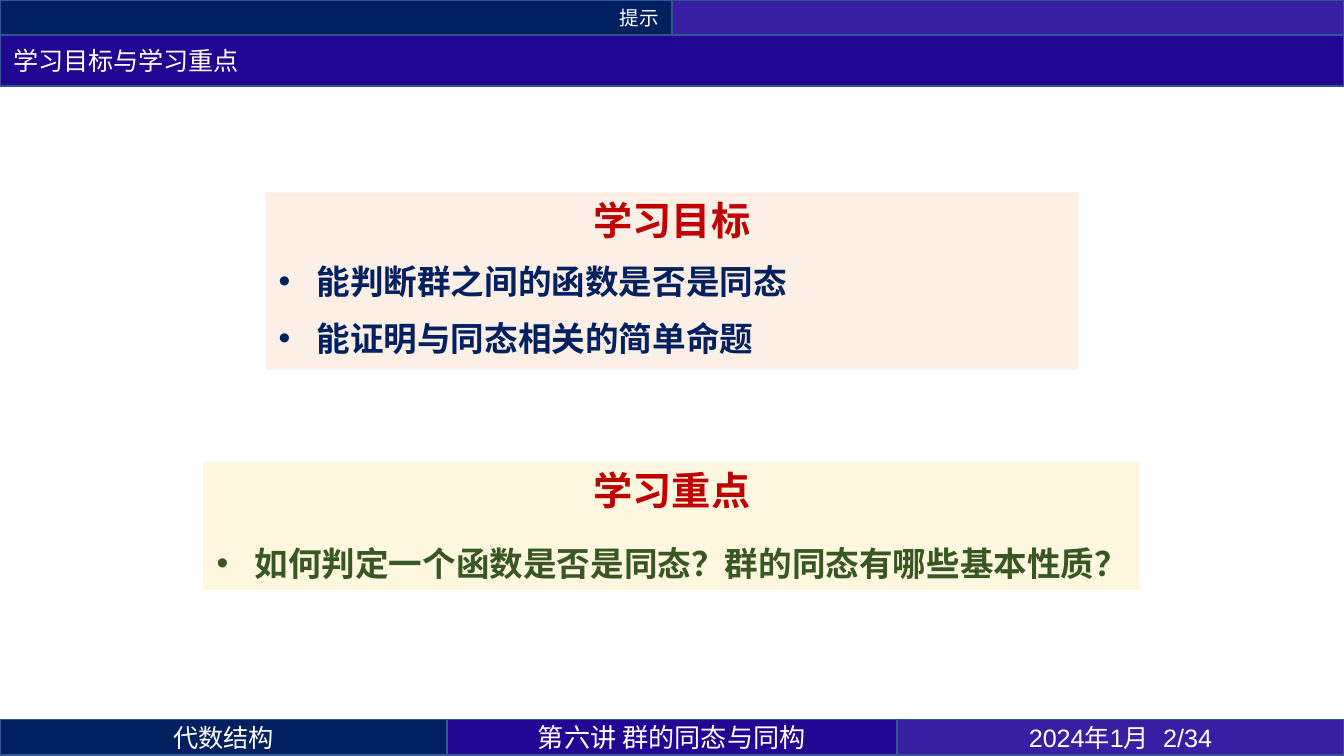
from dataclasses import dataclass

from lxml.etree import SubElement
from pptx import Presentation
from pptx.dml.color import RGBColor
from pptx.enum.shapes import MSO_SHAPE
from pptx.enum.text import MSO_ANCHOR, MSO_AUTO_SIZE, PP_ALIGN
from pptx.oxml.ns import qn
from pptx.slide import Slide
from pptx.util import Pt

COLORS = {
    "navy": "002060", "indigo": "210694", "violet": "371EA2",
    "border": "325491", "white": "FFFFFF", "red": "C00000",
    "green": "385723", "peach": "FBE5D6", "cream": "FFF2CC",
}
CJK_FONT = "Noto Sans CJK SC"
WIDTH, HEIGHT = 720, 405


def rgb(name):
    return RGBColor.from_string(COLORS[name])


@dataclass
class LectureSlide:
    slide: Slide
    east_asian_font: str = CJK_FONT
    indent: float = 20.25

    def add_run(self, paragraph, text, size, color, font=CJK_FONT, bold=False):
        run = paragraph.add_run()
        run.text = text
        run.font.size = Pt(size)
        run.font.bold = bold
        run.font.name = font
        run.font.color.rgb = rgb(color)
        east_asian = SubElement(run.font._element, qn("a:ea"))
        east_asian.set("typeface", self.east_asian_font)

    def style_band(self, shape, fill):
        shape.fill.solid()
        shape.fill.fore_color.rgb = rgb(fill)
        shape.line.color.rgb = rgb("border")
        shape.line.width = Pt(1)
        frame = shape.text_frame
        frame.word_wrap = True
        frame.auto_size = MSO_AUTO_SIZE.NONE
        frame.vertical_anchor = MSO_ANCHOR.MIDDLE

    def rectangle(self, left, top, width, height):
        shape = self.slide.shapes.add_shape(
            MSO_SHAPE.RECTANGLE, Pt(left), Pt(top), Pt(width), Pt(height))
        shape.shadow.inherit = False
        return shape

    def band(self, left, top, width, height, fill, text="", size=13.5,
             align=PP_ALIGN.CENTER, font=CJK_FONT):
        shape = self.rectangle(left, top, width, height)
        self.style_band(shape, fill)
        if text:
            paragraph = shape.text_frame.paragraphs[0]
            paragraph.alignment = align
            self.add_run(paragraph, text, size, "white", font)

    def title(self, top, height, text):
        shape = self.slide.shapes.title
        shape.left, shape.top = Pt(0), Pt(top)
        shape.width, shape.height = Pt(WIDTH), Pt(height)
        self.style_band(shape, "indigo")
        paragraph = shape.text_frame.paragraphs[0]
        paragraph.alignment = PP_ALIGN.LEFT
        self.add_run(paragraph, text, 13.5, "white", "Calibri")

    def bullet(self, paragraph):
        properties = paragraph._p.get_or_add_pPr()
        properties.set("marL", str(Pt(self.indent)))
        properties.set("indent", str(-Pt(self.indent)))
        SubElement(properties, qn("a:buFont")).set("typeface", "Arial")
        SubElement(properties, qn("a:buChar")).set("char", "•")

    def panel(self, top, width, height, fill, heading, items, color,
              space_before, item_spacing):
        """Centred translucent box with a heading and bullets."""
        shape = self.rectangle((WIDTH - width) / 2, top, width, height)
        shape.fill.solid()
        shape.fill.fore_color.rgb = rgb(fill)
        solid_color = shape._element.spPr.find(f".//{qn('a:srgbClr')}")
        SubElement(solid_color, qn("a:alpha")).set("val", "60000")
        shape.line.fill.background()

        frame = shape.text_frame
        frame.word_wrap = True
        frame.auto_size = MSO_AUTO_SIZE.SHAPE_TO_FIT_TEXT
        frame.vertical_anchor = MSO_ANCHOR.TOP
        for index, text in enumerate([heading, *items]):
            paragraph = frame.add_paragraph() if index else frame.paragraphs[0]
            paragraph.space_before = Pt(space_before)
            paragraph.space_after = Pt(4.5)
            if index:
                paragraph.alignment = PP_ALIGN.LEFT
                paragraph.line_spacing = item_spacing
                self.bullet(paragraph)
                self.add_run(paragraph, text, 18, color, "Arial", bold=True)
            else:
                paragraph.alignment = PP_ALIGN.CENTER
                paragraph.line_spacing = Pt(24)
                self.add_run(paragraph, text, 21, "red", bold=True)


def main():
    presentation = Presentation()
    presentation.slide_width, presentation.slide_height = Pt(WIDTH), Pt(HEIGHT)
    lecture = LectureSlide(
        presentation.slides.add_slide(presentation.slide_layouts[5]))

    # Header and title
    bar = 19
    half = WIDTH / 2
    lecture.band(0, 0, half, bar, "navy", "提示", 10.5, PP_ALIGN.RIGHT)
    lecture.band(half, 0, half, bar, "violet")
    lecture.title(bar, 27, "学习目标与学习重点")

    # Footer
    left = 0
    for width, fill, text, size, font in (
        (239.5, "navy", "代数结构", 13.5, CJK_FONT),
        (241, "indigo", "第六讲 群的同态与同构", 14, CJK_FONT),
        (239.5, "violet", "2024年1月 \t2/34", 13.5, "Arial"),
    ):
        lecture.band(left, 385.5, width, bar, fill, text, size, font=font)
        left += width

    # Goals and key points
    lecture.panel(103, 435.5, 95, "peach", "学习目标",
                  ["能判断群之间的函数是否是同态", "能证明与同态相关的简单命题"],
                  "navy", space_before=4.5, item_spacing=1.0)
    lecture.panel(247.5, 502, 68.5, "cream", "学习重点",
                  ["如何判定一个函数是否是同态？群的同态有哪些基本性质？"],
                  "green", space_before=9, item_spacing=Pt(24))

    presentation.save("out.pptx")


if __name__ == "__main__":
    main()
